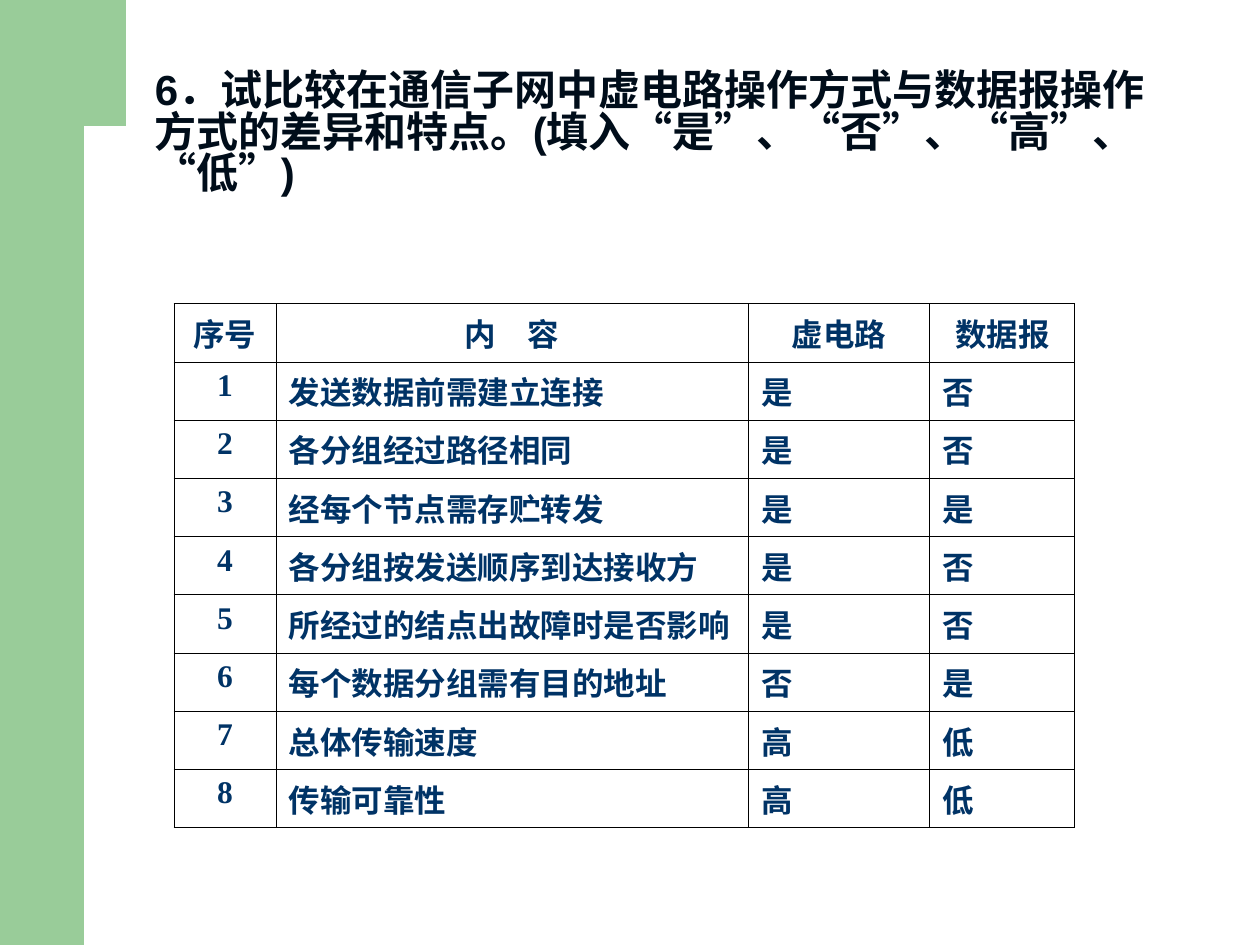
from dataclasses import dataclass

from lxml.etree import SubElement
from pptx import Presentation
from pptx.dml.color import RGBColor
from pptx.enum.shapes import MSO_SHAPE
from pptx.enum.text import MSO_ANCHOR, MSO_AUTO_SIZE, PP_ALIGN
from pptx.oxml.ns import qn
from pptx.util import Inches, Pt

# Content
QUESTION = "6．试比较在通信子网中虚电路操作方式与数据报操作方式的差异和特点。(填入“是”、“否”、“高”、“低”)"
HEADINGS = ("序号", "内　容", "虚电路", "数据报")
COMPARISONS = [
    ("发送数据前需建立连接", "是", "否"),
    ("各分组经过路径相同", "是", "否"),
    ("经每个节点需存贮转发", "是", "是"),
    ("各分组按发送顺序到达接收方", "是", "否"),
    ("所经过的结点出故障时是否影响", "是", "否"),
    ("每个数据分组需有目的地址", "否", "是"),
    ("总体传输速度", "高", "低"),
    ("传输可靠性", "高", "低"),
]


@dataclass(frozen=True)
class Theme:
    band: str = "99CC99"
    question: str = "000D1A"
    accent: str = "003366"
    border: str = "000000"
    question_size: float = 24
    cell_size: float = 18
    border_width: float = 0.45
    question_font: str = "Arial"
    cell_font: str = "Times New Roman"
    chinese_font: str = "Noto Sans CJK SC"


THEME = Theme()

# Layout, in inches
WIDTH, HEIGHT = 10, 7.5
SIDE_WIDTH = WIDTH / 15
QUESTION_BOX = (0.75, 0.52, 8.5, 1.97)
TABLE_LEFT, TABLE_TOP = 1.38, 2.41
COLUMNS, ROW_HEIGHT = (0.81, 3.75, 1.44, 1.15), 0.44
HANGING = 0.38
BAND_OUTLINE = [(WIDTH / 2, 0), (WIDTH / 2, 0.39), (1.19, 0.39), (1.12, 0.39), (0.99, 0.4)]
CORNER_CURVES = [
    [(0.94, 0.41), (0.86, 0.42), (0.81, 0.43)],
    [(0.77, 0.45), (0.73, 0.47), (0.7, 0.49)],
    [(0.67, 0.51), (0.67, 0.53), (0.66, 0.54)],
]
BAND_END = [(0.66, 0.6), (0.12, 0.6), (0.12, 0)]


def curve_points(start, controls, steps=6):
    """Points along a cubic curve, without its start."""
    corners = [start, *controls]
    for step in range(1, steps + 1):
        t = step / steps
        weights = ((1 - t) ** 3, 3 * t * (1 - t) ** 2, 3 * t * t * (1 - t), t ** 3)
        yield tuple(sum(w * c[axis] for w, c in zip(weights, corners)) for axis in (0, 1))


def paint(shape):
    shape.shadow.inherit = False
    shape.fill.solid()
    shape.fill.fore_color.rgb = RGBColor.from_string(THEME.band)
    shape.line.fill.background()


def write(paragraph, words, size, color, font):
    """Add one bold run with a hanging indent."""
    run = paragraph.add_run()
    run.text = words
    run.font.size, run.font.bold, run.font.name = Pt(size), True, font
    run.font.color.rgb = RGBColor.from_string(color)
    SubElement(run.font._element, qn("a:ea"), typeface=THEME.chinese_font)
    props = paragraph._p.get_or_add_pPr()
    props.set("marL", str(Inches(HANGING)))
    props.set("indent", str(-Inches(HANGING)))
    return props


def add_bullet(props):
    color = SubElement(props, qn("a:buClr"))
    SubElement(color, qn("a:srgbClr"), val=THEME.accent)
    SubElement(props, qn("a:buSzPct"), val="75000")
    SubElement(props, qn("a:buFont"), typeface=THEME.question_font)
    SubElement(props, qn("a:buChar"), char="●")


def add_borders(cell):
    props = cell._tc.get_or_add_tcPr()
    for side in ("lnL", "lnR", "lnT", "lnB"):
        edge = SubElement(props, qn(f"a:{side}"), w=str(Pt(THEME.border_width)))
        SubElement(SubElement(edge, qn("a:solidFill")), qn("a:srgbClr"), val=THEME.border)


def add_background(slide):
    side = slide.shapes.add_shape(MSO_SHAPE.RECTANGLE, 0, 0, Inches(SIDE_WIDTH), Inches(HEIGHT))
    outline = list(BAND_OUTLINE)
    for controls in CORNER_CURVES:
        outline += curve_points(outline[-1], controls)
    outline += BAND_END
    builder = slide.shapes.build_freeform(*outline[0], scale=Inches(1))
    builder.add_line_segments(outline[1:], close=True)
    for part in (side, builder.convert_to_shape()):
        paint(part)


def add_question(slide):
    slide.shapes.title._element.getparent().remove(slide.shapes.title._element)
    question = slide.placeholders[1]
    question.left, question.top, question.width, question.height = map(Inches, QUESTION_BOX)
    frame = question.text_frame
    frame.word_wrap, frame.auto_size = True, MSO_AUTO_SIZE.NONE
    frame.vertical_anchor = MSO_ANCHOR.TOP
    paragraph = frame.paragraphs[0]
    paragraph.space_before, paragraph.line_spacing = Pt(6), 0.83
    add_bullet(write(paragraph, QUESTION, THEME.question_size, THEME.question, THEME.question_font))


def add_comparison(slide):
    rows = [HEADINGS] + [(str(number), *row) for number, row in enumerate(COMPARISONS, 1)]
    table = slide.shapes.add_table(
        len(rows), len(COLUMNS), Inches(TABLE_LEFT), Inches(TABLE_TOP),
        Inches(sum(COLUMNS)), Inches(ROW_HEIGHT * len(rows))).table
    table.first_row = table.horz_banding = False
    for column, width in zip(table.columns, COLUMNS):
        column.width = Inches(width)
    for r, row in enumerate(rows):
        table.rows[r].height = Inches(ROW_HEIGHT)
        for c, words in enumerate(row):
            cell = table.cell(r, c)
            add_borders(cell)
            cell.fill.background()
            paragraph = cell.text_frame.paragraphs[0]
            paragraph.alignment = PP_ALIGN.CENTER if r == 0 or c == 0 else PP_ALIGN.LEFT
            write(paragraph, words, THEME.cell_size, THEME.accent, THEME.cell_font)


def main():
    deck = Presentation()
    deck.slide_width, deck.slide_height = Inches(WIDTH), Inches(HEIGHT)
    slide = deck.slides.add_slide(deck.slide_layouts[1])
    add_background(slide)
    add_question(slide)
    add_comparison(slide)
    deck.save("out.pptx")


if __name__ == "__main__":
    main()
